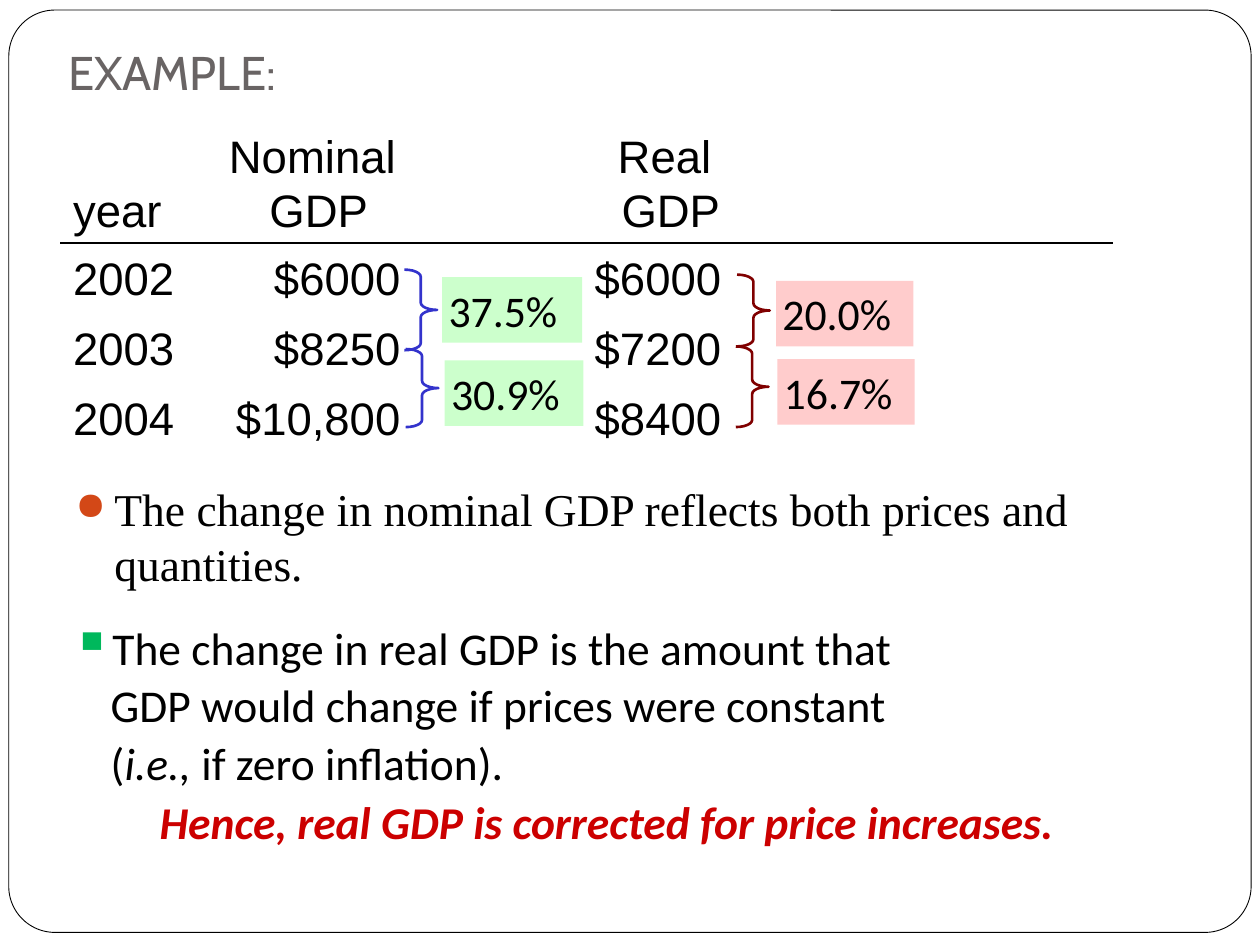
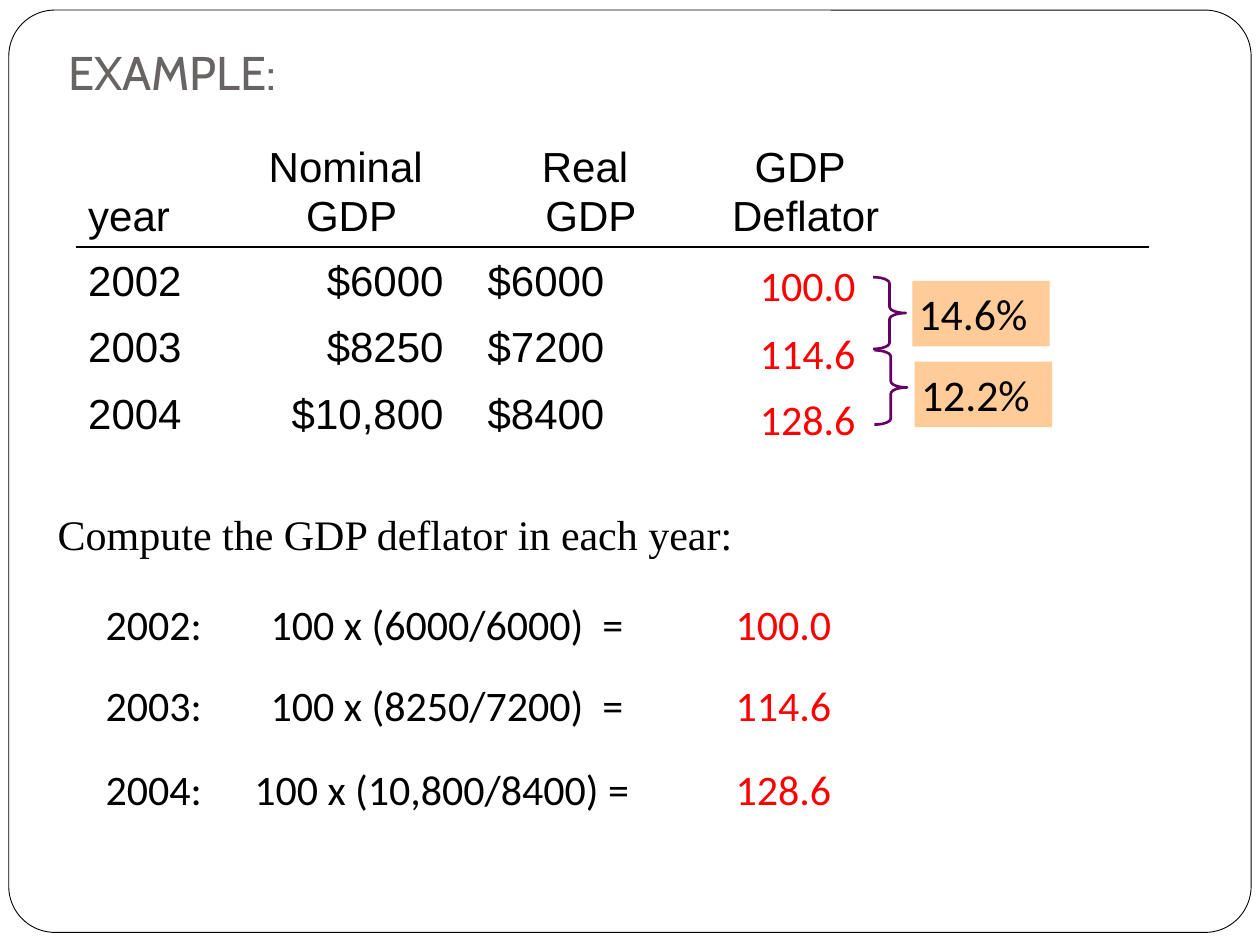
"""Build two slides that compare nominal GDP, real GDP and the GDP deflator."""
from dataclasses import dataclass
from typing import NamedTuple

from lxml import etree
from pptx import Presentation
from pptx.dml.color import RGBColor
from pptx.enum.shapes import MSO_SHAPE
from pptx.enum.text import MSO_ANCHOR, MSO_AUTO_SIZE, PP_ALIGN
from pptx.oxml.ns import qn
from pptx.util import Inches, Pt

LEFT, CENTER, RIGHT = PP_ALIGN.LEFT, PP_ALIGN.CENTER, PP_ALIGN.RIGHT
TOP, MIDDLE, BOTTOM = MSO_ANCHOR.TOP, MSO_ANCHOR.MIDDLE, MSO_ANCHOR.BOTTOM
RECTANGLE, ROUNDED = MSO_SHAPE.RECTANGLE, MSO_SHAPE.ROUNDED_RECTANGLE
RIGHT_BRACE = MSO_SHAPE.RIGHT_BRACE
FIT_SHAPE, NO_FIT = MSO_AUTO_SIZE.SHAPE_TO_FIT_TEXT, MSO_AUTO_SIZE.NONE

COLORS = {
    "paper": "FFFFFF", "ink": "000000", "title": "696464",
    "bullet_orange": "D34817", "bullet_green": "00B85C",
    "conclusion": "CC0000", "deflator": "FF0000",
    "nominal_box": "CCFFCC", "nominal_brace": "3333CC",
    "real_box": "FFCCCC", "real_brace": "800000",
    "deflator_box": "FFCC99", "deflator_brace": "660066",
}
NO_TABLE_STYLE = "{2D5ABB26-0587-4C30-8999-92F81FD0307C}"
ROW_HEIGHT = 0.53
BRACE_WIDTH = 0.26
HANGING = 0.31
YEARS = ("2002", "2003", "2004")
NOMINAL = ("$6000", "$8250", "$10,800")
REAL = ("$6000", "$7200", "$8400")


class Piece(NamedTuple):
    """A stretch of text that may differ from its paragraph's format."""
    text: str
    color: str | None = None
    italic: bool | None = None


class Bullet(NamedTuple):
    """A bullet character with its colour and size in percent."""
    char: str
    color: str
    percent: int


class Area(NamedTuple):
    """Left, top, width and height in inches."""
    left: float
    top: float
    width: float
    height: float


class Column(NamedTuple):
    """A table column with its heading and yearly figures."""
    width: float
    heading: str = ""
    figures: tuple[str, ...] = ()
    align: PP_ALIGN = LEFT


@dataclass(frozen=True)
class GrowthMark:
    """A brace over two years and the growth rate beside it."""
    rate: str
    series: str
    rate_left: float
    rate_top: float
    brace_left: float
    brace_top: float
    brace_height: float
    rate_width: float = 1.09


@dataclass(frozen=True)
class DeflatorStep:
    """One year's deflator calculation and its place in the table."""
    year: str
    formula: str
    result: str
    top: float
    table_top: float
    formula_tab: float = 1.31


GROWTH_MARKS = (
    GrowthMark("20.0%", "real", 6.16, 2.23, 5.85, 2.18, 0.57),
    GrowthMark("16.7%", "real", 6.17, 2.85, 5.84, 2.75, 0.64),
    GrowthMark("37.5%", "nominal", 3.51, 2.2, 3.21, 2.14, 0.64, 1.11),
    GrowthMark("30.9%", "nominal", 3.53, 2.86, 3.22, 2.77, 0.62, 1.1),
)
DEFLATOR_MARKS = (
    GrowthMark("14.6%", "deflator", 7.24, 2.23, 6.93, 2.2, 0.57),
    GrowthMark("12.2%", "deflator", 7.26, 2.87, 6.94, 2.78, 0.59),
)
DEFLATOR_STEPS = (
    DeflatorStep("2002", "100 x (6000/6000)  = ", "100.0", 4.68, 2.01),
    DeflatorStep("2003", "100 x (8250/7200)  = ", "114.6", 5.32, 2.55),
    DeflatorStep("2004", "100 x (10,800/8400) = ", "128.6", 5.99, 3.07, 1.18),
)


def rgb(name: str) -> RGBColor:
    """Look up a named colour."""
    return RGBColor.from_string(COLORS[name])


def inches(area: Area) -> list[Inches]:
    """Convert an area to slide lengths."""
    return [Inches(value) for value in area]


def add_node(parent, tag: str, **attributes: str):
    """Append a drawing element to its parent."""
    return etree.SubElement(parent, qn(f"a:{tag}"), attributes)


def write_text(frame, *pieces: str | Piece, font: str = "Calibri", size: float = 24,
               color: str = "ink", bold: bool = False, italic: bool = False,
               align: PP_ALIGN = LEFT, line_spacing: float | None = None,
               before: int = 50, hanging: float = 0, bullet: Bullet | None = None,
               tabs: tuple[float, ...] = ()) -> None:
    """Write one formatted paragraph into a text frame."""
    paragraph = frame.paragraphs[0]
    paragraph.alignment = align
    if line_spacing:
        paragraph.line_spacing = line_spacing
    properties = paragraph._p.get_or_add_pPr()
    if before:
        add_node(add_node(properties, "spcBef"), "spcPct", val=str(before * 1000))
    if hanging:
        properties.set("marL", str(Inches(hanging)))
        properties.set("indent", str(-Inches(hanging)))
    if bullet:
        add_node(add_node(properties, "buClr"), "srgbClr", val=COLORS[bullet.color])
        add_node(properties, "buSzPct", val=str(bullet.percent * 1000))
        add_node(properties, "buChar", char=bullet.char)
    if tabs:
        stops = add_node(properties, "tabLst")
        for stop in tabs:
            add_node(stops, "tab", pos=str(Inches(stop)), algn="l")
    for piece in pieces:
        piece = Piece(piece) if isinstance(piece, str) else piece
        for number, line in enumerate(piece.text.split("\n")):
            if number:
                paragraph.add_line_break()
            run = paragraph.add_run()
            run.text = line
            run.font.name, run.font.size = font, Pt(size)
            run.font.bold = bold
            run.font.italic = italic if piece.italic is None else piece.italic
            run.font.color.rgb = rgb(piece.color or color)


def set_frame(frame, anchor: MSO_ANCHOR = TOP, sides: float = 0.1,
              bottom: float = 0.05) -> None:
    """Set wrapping, anchor and insets of a text frame."""
    frame.word_wrap = True
    frame.vertical_anchor = anchor
    frame.margin_left = frame.margin_right = Inches(sides)
    frame.margin_top, frame.margin_bottom = Inches(0.05), Inches(bottom)


def add_text(slide, area: Area, *pieces: str | Piece, anchor: MSO_ANCHOR = TOP,
             **text_format) -> None:
    """Add a wrapping text box."""
    frame = slide.shapes.add_textbox(*inches(area)).text_frame
    set_frame(frame, anchor)
    write_text(frame, *pieces, **text_format)


def add_preset(slide, preset: MSO_SHAPE, area: Area, fill: str | None = None,
               line: str | None = None, line_width: float = 1.5,
               adjustment: float | None = None):
    """Add a preset shape without a shadow."""
    shape = slide.shapes.add_shape(preset, *inches(area))
    shape.shadow.inherit = False
    if fill:
        shape.fill.solid()
        shape.fill.fore_color.rgb = rgb(fill)
    else:
        shape.fill.background()
    if line:
        shape.line.color.rgb = rgb(line)
        shape.line.width = Pt(line_width)
    else:
        shape.line.fill.background()
    if adjustment is not None:
        shape.adjustments[0] = adjustment
    return shape


def add_growth_mark(slide, mark: GrowthMark, curl: float) -> None:
    """Draw a growth rate and its brace."""
    rate = add_preset(slide, RECTANGLE, Area(mark.rate_left, mark.rate_top, mark.rate_width, 0.52),
                      fill=f"{mark.series}_box")
    set_frame(rate.text_frame, sides=0.05)
    rate.text_frame.auto_size = FIT_SHAPE
    write_text(rate.text_frame, mark.rate, size=25)
    add_preset(slide, RIGHT_BRACE,
               Area(mark.brace_left, mark.brace_top, BRACE_WIDTH, mark.brace_height),
               line=f"{mark.series}_brace", adjustment=curl)


def add_rule_below(cell) -> None:
    """Draw a thin line under a table cell."""
    rule = etree.Element(qn("a:lnB"), w=str(Pt(1)))
    add_node(add_node(rule, "solidFill"), "srgbClr", val=COLORS["ink"])
    cell._tc.get_or_add_tcPr().insert(0, rule)


def add_gdp_table(slide, left: float, top: float, heading_height: float,
                  columns: tuple[Column, ...], size: float) -> None:
    """Add the yearly table with a line under its headings."""
    heights = [heading_height] + [ROW_HEIGHT] * len(YEARS)
    area = Area(left, top, sum(column.width for column in columns), sum(heights))
    table = slide.shapes.add_table(len(heights), len(columns), *inches(area)).table
    table.first_row = table.horz_banding = False
    table._tbl.tblPr.find(qn("a:tableStyleId")).text = NO_TABLE_STYLE
    for row, height in zip(table.rows, heights):
        row.height = Inches(height)
    for c, column in enumerate(columns):
        table.columns[c].width = Inches(column.width)
        texts = (column.heading, *(column.figures or ("",) * len(YEARS)))
        for r, text in enumerate(texts):
            cell = table.cell(r, c)
            cell.fill.background()
            cell.vertical_anchor = MIDDLE if r else BOTTOM
            align = column.align
            if r == 0:
                add_rule_below(cell)
                align = CENTER if c else LEFT
            elif align == RIGHT:
                cell.margin_right = Inches(0.25)
            if text:
                write_text(cell.text_frame, text, font="Arial", size=size,
                           align=align, line_spacing=1.05, before=45)


def add_example_slide(deck, layout):
    """Add a slide with the shared title."""
    slide = deck.slides.add_slide(layout)
    title = slide.shapes.title
    title.left, title.top, title.width, title.height = inches(Area(0.44, 0.27, 7.38, 0.62))
    set_frame(title.text_frame, BOTTOM, bottom=0.1)
    title.text_frame.auto_size = NO_FIT
    write_text(title.text_frame, "EXAMPLE:", font="Cabin", size=27, color="title", before=0)
    return slide


def build_growth_slide(slide) -> None:
    """Show the growth of nominal and real GDP."""
    add_text(slide, Area(0.5, 3.77, 8.72, 1.18),
             "The change in nominal GDP reflects both prices and quantities.",
             font="Times New Roman", size=26, hanging=HANGING,
             bullet=Bullet("●", "bullet_orange", 85))
    columns = (Column(1.15, "year", YEARS), Column(1.8, "Nominal \nGDP", NOMINAL, RIGHT),
               Column(1.19), Column(1.41, "Real \nGDP", REAL), Column(2.8))
    add_gdp_table(slide, 0.48, 0.92, 0.96, columns, size=26)
    for mark in GROWTH_MARKS:
        add_growth_mark(slide, mark, 0.22)
    add_text(slide, Area(0.47, 4.85, 8.78, 1.54),
             "The change in real GDP is the amount that \n"
             "GDP would change if prices were constant \n(",
             Piece("i.e.,", italic=True), " if zero inflation).",
             size=26, line_spacing=1.05, hanging=HANGING,
             bullet=Bullet("▪", "bullet_green", 120))
    add_text(slide, Area(0.47, 6.23, 8.78, 0.58),
             "Hence, real GDP is corrected for price increases. ",
             size=26, color="conclusion", bold=True, italic=True, align=CENTER,
             line_spacing=1.05, before=25, hanging=HANGING)


def build_deflator_slide(slide) -> None:
    """Show how the GDP deflator is computed."""
    add_text(slide, Area(0.36, 3.99, 8.91, 0.59), "Compute the GDP deflator in each year:",
             font="Times New Roman", hanging=HANGING)
    columns = (Column(1.21, "year", YEARS), Column(1.96, "Nominal \nGDP", NOMINAL, RIGHT),
               Column(1.84, "Real \nGDP", REAL), Column(1.57, "GDP \nDeflator"), Column(1.94))
    add_gdp_table(slide, 0.6, 1.02, 0.89, columns, size=24)
    for step in DEFLATOR_STEPS:
        add_text(slide, Area(0.74, step.top, 6.86, 0.59),
                 f"{step.year}:\t{step.formula}\t", Piece(step.result, "deflator"),
                 line_spacing=1.05, tabs=(step.formula_tab, 5))
        add_text(slide, Area(5.8, step.table_top, 1.22, 0.48), step.result,
                 color="deflator", anchor=MIDDLE, align=CENTER, line_spacing=1.05)
    for mark in DEFLATOR_MARKS:
        add_growth_mark(slide, mark, 0.19)


def main() -> None:
    """Build and save the deck."""
    deck = Presentation()
    deck.slide_width, deck.slide_height = Inches(10), Inches(7.5)
    layout = deck.slide_layouts[5]
    growth, deflator = (add_example_slide(deck, layout) for _ in range(2))
    border = add_preset(growth, ROUNDED, Area(0.07, 0.08, 9.86, 7.32), fill="paper",
                        line="ink", line_width=0.5, adjustment=0.05)
    layout.shapes.element.insert(2, border.element)
    build_growth_slide(growth)
    build_deflator_slide(deflator)
    deck.save("out.pptx")


if __name__ == "__main__":
    main()
